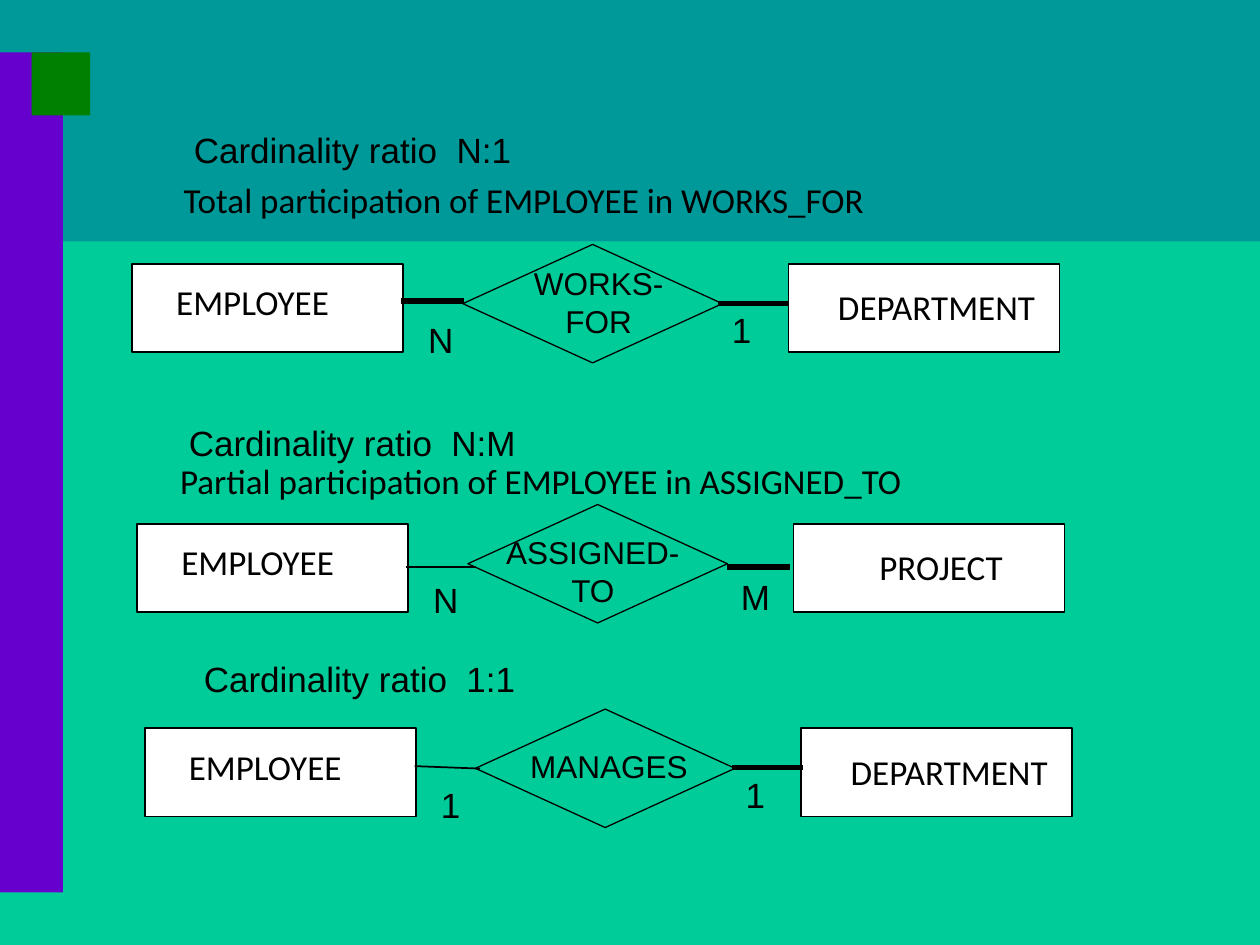
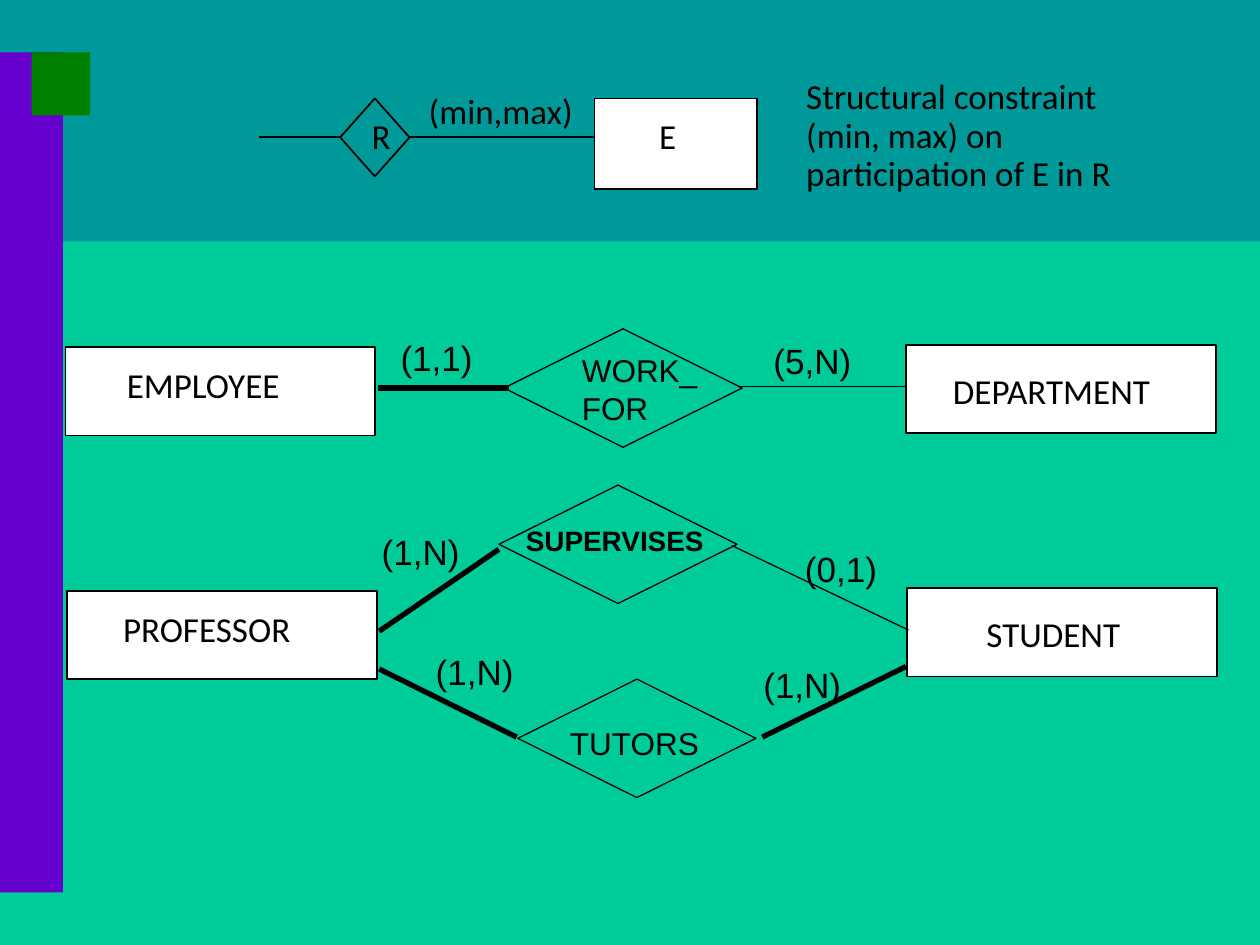
"""Build two slides on cardinality, participation and (min,max) constraints in ER diagrams."""
from dataclasses import dataclass

from lxml import etree
from pptx import Presentation
from pptx import util as u
from pptx.dml.color import RGBColor
from pptx.enum import shapes, text
from pptx.oxml.ns import qn


@dataclass(frozen=True)
class Theme:
    back: str = "00CC99"
    band: str = "009999"
    rail: str = "6600CC"
    accent: str = "008000"
    ink: str = "000000"
    paper: str = "FFFFFF"
    label_font: str = "Calibri"
    note_font: str = "Arial"
    body: int = 20
    relation: int = 18
    small: int = 16
    hair: float = 0.75
    thin: float = 1
    thick: float = 3


T = Theme()
KIND = shapes.MSO_SHAPE
CENTER = text.PP_ALIGN.CENTER
MIDDLE = text.MSO_ANCHOR.MIDDLE
ENTITY_H = 50.4
DIAMOND_H = 67.7


def rgb(color):
    return RGBColor.from_string(color)


def add_figure(s, kind, x, y, w, h, fill=None, line=None):
    sp = s.shapes.add_shape(kind, u.Pt(x), u.Pt(y), u.Pt(w), u.Pt(h))
    sp.shadow.inherit = False
    if fill:
        sp.fill.solid()
        sp.fill.fore_color.rgb = rgb(fill)
    else:
        sp.fill.background()
    if line:
        sp.line.color.rgb = rgb(T.ink)
        sp.line.width = u.Pt(line)
    else:
        sp.line.fill.background()


def add_text(s, words, x, y, w, h, font=T.note_font, size=T.body, bold=False,
             align=None, anchor=None, inset=True, wrap=False, grow=True,
             spacing=None, before=0):
    tf = s.shapes.add_textbox(u.Pt(x), u.Pt(y), u.Pt(w), u.Pt(h)).text_frame
    tf.word_wrap = wrap
    tf.auto_size = (text.MSO_AUTO_SIZE.SHAPE_TO_FIT_TEXT if grow
                    else text.MSO_AUTO_SIZE.NONE)
    tf.margin_left = tf.margin_right = u.Pt(7.2 if inset else 0)
    tf.margin_top = tf.margin_bottom = u.Pt(3.6 if inset else 0)
    if anchor is not None:
        tf.vertical_anchor = anchor
    tf.text = words
    for i, p in enumerate(tf.paragraphs):
        p.alignment = align
        p.line_spacing = spacing
        if i:
            p.space_before = u.Pt(before)
        for r in p.runs:
            r.font.name = font
            r.font.size = u.Pt(size)
            r.font.bold = bold
            r.font.color.rgb = rgb(T.ink)


def add_label(s, words, x, y, w):
    add_text(s, words, x, y, w, 24, T.label_font, align=CENTER, inset=False)


def add_entity(s, name, x, y, w, dx, dy, label_w, h=ENTITY_H):
    add_figure(s, KIND.RECTANGLE, x, y, w, h, T.paper, T.thin)
    add_label(s, name, x + dx, y + dy, label_w)


def add_diamond(s, x, y, w, h=DIAMOND_H, line=T.hair):
    add_figure(s, KIND.DIAMOND, x, y, w, h, line=line)


def add_link(s, x1, y1, x2, y2, width=T.thick):
    c = s.shapes.add_connector(shapes.MSO_CONNECTOR.STRAIGHT,
                               u.Pt(x1), u.Pt(y1), u.Pt(x2), u.Pt(y2))
    c.line.color.rgb = rgb(T.ink)
    c.line.width = u.Pt(width)
    etree.SubElement(c._element.spPr, qn("a:effectLst"))


def new_slide(prs):
    s = prs.slides.add_slide(prs.slide_layouts[6])
    for x, y, w, h, color in [(0, 0, 720, 138, T.band),
                              (0, 30, 36, 480, T.rail),
                              (18, 30, 33.6, 36, T.accent)]:
        add_figure(s, KIND.RECTANGLE, x, y, w, h, color)
    return s


def add_ratio_row(s, x, y, target, dx, label_w, left, right, right_at):
    add_entity(s, "EMPLOYEE", x, y, 154.8, 18, 9.7, 101.5)
    add_entity(s, target, x + 375, y, 154.8, dx, 12.6, label_w)
    add_diamond(s, x + 188.9, y - 11, 148.3)
    add_text(s, left, x + 162, y + 28, 30, 31.7)
    add_text(s, right, *right_at, 32, 31.7)


def build_ratios(prs):
    s = new_slide(prs)
    add_text(s, "Total participation of EMPLOYEE in WORKS_FOR", 97.9, 97.2, 546.5, 42.5,
             T.label_font, anchor=MIDDLE, grow=False, spacing=0.5)
    add_text(s, "Partial participation of EMPLOYEE in ASSIGNED_TO", 95.8, 239.8, 546.5, 69.8,
             T.label_font, anchor=MIDDLE, grow=False)
    for ratio, x, y in [("N:1", 103.7, 69.8), ("N:M", 100.8, 237.2), ("1:1", 109.4, 372.2)]:
        add_text(s, f"Cardinality ratio  {ratio}", x, y, 205, 31.7)

    add_ratio_row(s, 75.6, 150.7, "DEPARTMENT", 19.4, 130.3, "N", "1", (411.1, 172.8))
    add_ratio_row(s, 78.5, 299.3, "PROJECT", 43.9, 80.6, "N", "M", (416.2, 325.4))
    add_ratio_row(s, 82.8, 416.2, "DEPARTMENT", 19.4, 130.3, "1", "1", (419, 438.5))

    add_text(s, "WORKS-\vFOR", 295.6, 147.2, 93, 50.4, size=T.relation, align=CENTER)
    add_text(s, "ASSIGNED-TO", 281.5, 301, 114.5, 50.4, size=T.relation,
             align=CENTER, wrap=True)
    add_text(s, "MANAGES", 295.9, 423.6, 110, 28.8, size=T.relation, wrap=True)

    for link in [(265, 172, 229, 172), (410.4, 173.5, 450.7, 173.5),
                 (231.8, 324, 272.2, 324, T.hair), (451.4, 324, 415.4, 324),
                 (274.3, 439.2, 236.9, 437.8, T.thin), (418.3, 438.5, 458.6, 438.5)]:
        add_link(s, *link)


def add_notation(s):
    axis = 78.5
    add_diamond(s, 194.4, 56.2, 39.6, 44.6, T.thin)
    add_link(s, 194.4, axis, 148.3, axis, T.thin)
    add_entity(s, "E", 339.8, 56.2, 92.9, 36, 9.4, 11.5, 51.8)
    add_link(s, 234, axis, 339.8, axis, T.thin)
    add_label(s, "R", 211.7, 65.5, 12.2)
    add_label(s, "(min,max)", 239, 51.1, 94.3)
    add_text(s, "Structural constraint\n(min, max) on\nparticipation of E in R",
             453.6, 51.1, 214.6, 61.2, T.label_font, anchor=MIDDLE,
             spacing=0.4, before=12.5)


def build_min_max(prs):
    s = new_slide(prs)
    add_notation(s)

    for entity in [("EMPLOYEE", 37.4, 198.5, 177.1, 28, 9.4, 101.5),
                   ("DEPARTMENT", 517.7, 197.3, 177.1, 18, 13.7, 130.3),
                   ("PROFESSOR", 38.2, 337.7, 177.1, 23.8, 9.4, 112.3),
                   ("STUDENT", 518.4, 336.2, 177.1, 38.9, 13.7, 89.3)]:
        add_entity(s, *entity)

    for x, y in [(288, 187.9), (285.1, 277.2), (295.9, 388.1)]:
        add_diamond(s, x, y, 136.1)
    add_text(s, "WORK_\vFOR", 325.4, 197, 90, 50.4, size=T.relation)
    add_text(s, "SUPERVISES", 293.4, 295.9, 122, 26.6, size=T.small, bold=True)
    add_text(s, "TUTORS", 318.6, 410, 95, 28.8, size=T.relation)

    for link in [(290.9, 221.8, 216, 221.8), (422.6, 221, 518.4, 221, T.hair),
                 (285.1, 313.9, 216.7, 360.7), (418.3, 311.8, 519.1, 360, T.hair),
                 (295.2, 421.2, 216.7, 382.3), (435.6, 421.2, 517.7, 380.9)]:
        add_link(s, *link)

    for limits, x, y in [("(1,1)", 221.8, 188.6), ("(5,N)", 434.9, 190.4),
                         ("(1,N)", 211, 299.8), ("(0,1)", 452.9, 309.6),
                         ("(1,N)", 241.9, 367.9), ("(1,N)", 429.1, 375.4)]:
        add_text(s, limits, x, y, 62, 31.7)


def main():
    prs = Presentation()
    prs.slide_width, prs.slide_height = u.Pt(720), u.Pt(540)
    fill = prs.slide_master.background.fill
    fill.solid()
    fill.fore_color.rgb = rgb(T.back)
    build_ratios(prs)
    build_min_max(prs)
    prs.save("out.pptx")


if __name__ == "__main__":
    main()
